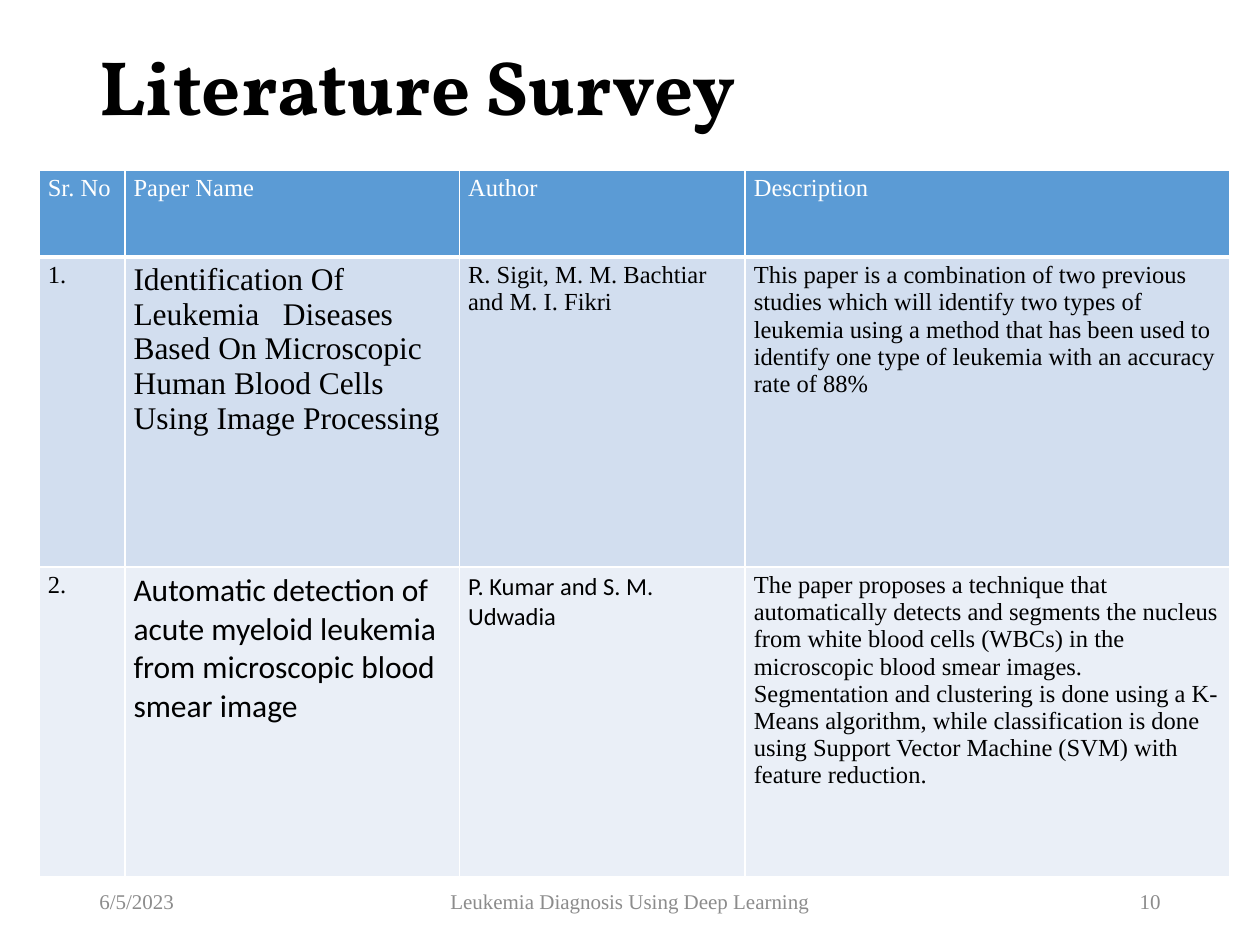
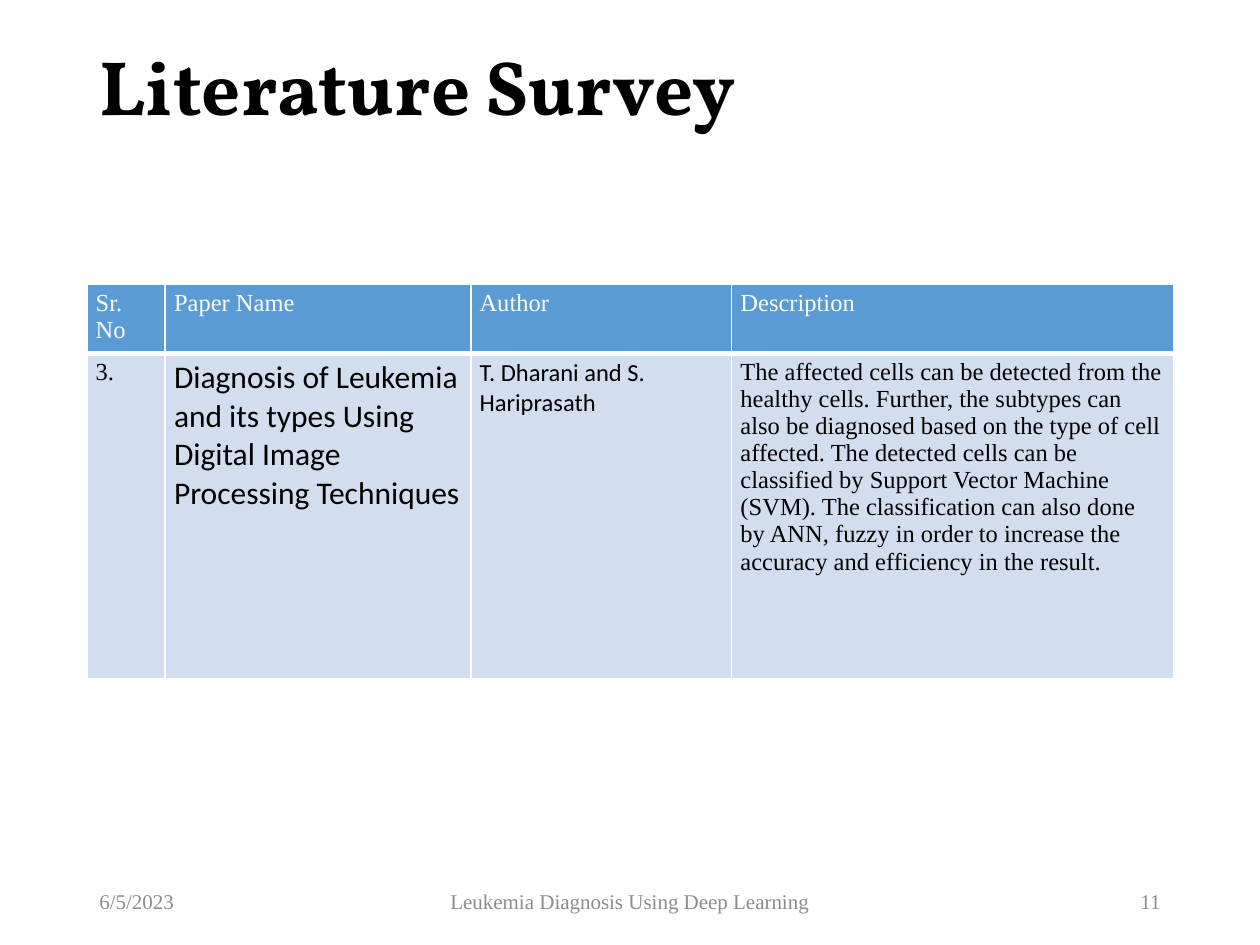
from lxml import etree
from pptx import Presentation
from pptx.dml.color import RGBColor
from pptx.enum.text import MSO_ANCHOR, PP_ALIGN
from pptx.oxml.ns import qn
from pptx.util import Emu, Inches, Pt

LEFT, CENTER, RIGHT = PP_ALIGN.LEFT, PP_ALIGN.CENTER, PP_ALIGN.RIGHT
MIDDLE = MSO_ANCHOR.MIDDLE
TITLE_ONLY = 5

COLORS = {
    "ink": "000000",
    "white": "FFFFFF",
    "header": "5B9BD5",
    "odd_row": "D2DEEF",
    "even_row": "EAEFF7",
    "footer": "8C8C8C",
}
SERIF, SANS, DISPLAY = "Times New Roman", "Calibri", "Vollkorn"

GRID_COLS, GRID_ROWS = 100, 75
MARGIN, CONTENT_W = 6.9, 86.2
FOOTER_TOP, FOOTER_H = 69.5, 4

HEADINGS = ["Sr. No", "Paper Name", "Author", "Description"]
COL_SHARES = [0.072, 0.281, 0.24, 0.407]
COL_SIZES = [14, 18, 14, 14]
SERIF_ROW = [SERIF] * 4
MIXED_ROW = [SERIF, SANS, SANS, SERIF]


def color(name):
    return RGBColor.from_string(COLORS[name])


def write(tf, text, size=14, font=SERIF, ink="ink", bold=False, align=LEFT, spacing=None):
    p = tf.paragraphs[0]
    p.alignment = align
    if spacing:
        p.line_spacing = spacing
    r = p.add_run()
    r.text = text
    r.font.size, r.font.name, r.font.bold = Pt(size), font, bold
    r.font.color.rgb = color(ink)


def add_borders(cell, bottom):
    """Draw white cell edges; bottom is the width of the lower edge in points."""
    tc_pr = cell._tc.get_or_add_tcPr()
    edges = {"lnL": 1, "lnR": 1, "lnT": 1, "lnB": bottom}
    for i, (edge, width) in enumerate(edges.items()):
        ln = etree.Element(qn(f"a:{edge}"), w=str(Pt(width)))
        fill = etree.SubElement(ln, qn("a:solidFill"))
        etree.SubElement(fill, qn("a:srgbClr"), val=COLORS["white"])
        tc_pr.insert(i, ln)


class Deck:
    """Holds the presentation, its grid and the current slide."""

    def __init__(self):
        self.prs = Presentation()
        self.prs.slide_width, self.prs.slide_height = Inches(10), Inches(7.5)
        self.s = None

    def x(self, cols):
        return Emu(round(self.prs.slide_width * cols / GRID_COLS))

    def y(self, rows):
        return Emu(round(self.prs.slide_height * rows / GRID_ROWS))

    def box(self, left, top, width, height):
        return self.x(left), self.y(top), self.x(width), self.y(height)

    def new_slide(self, number, title_top, title_h):
        self.s = self.prs.slides.add_slide(self.prs.slide_layouts[TITLE_ONLY])
        self.title("Literature Survey", title_top, title_h)
        self.footer("6/5/2023", MARGIN, 22.5, LEFT)
        self.footer("Leukemia Diagnosis Using Deep Learning", 33.1, 33.8, CENTER)
        self.footer(str(number), 70.6, 22.5, RIGHT)

    def title(self, text, top, height):
        sp = self.s.shapes.title
        sp.left, sp.top, sp.width, sp.height = self.box(MARGIN, top, CONTENT_W, height)
        sp.text_frame.vertical_anchor = MIDDLE
        write(sp.text_frame, text, size=44, font=DISPLAY, bold=True, spacing=0.9)

    def footer(self, text, left, width, align):
        sp = self.s.shapes.add_textbox(*self.box(left, FOOTER_TOP, width, FOOTER_H))
        tf = sp.text_frame
        tf.word_wrap = True
        tf.vertical_anchor = MIDDLE
        write(tf, text, size=12, ink="footer", align=align)

    def cell(self, cell, text, fill, bottom=1, **style):
        cell.margin_left = cell.margin_right = Inches(0.07)
        cell.margin_top = cell.margin_bottom = Inches(0.04)
        cell.fill.solid()
        cell.fill.fore_color.rgb = color(fill)
        add_borders(cell, bottom)
        write(cell.text_frame, text, **style)

    def paper_table(self, left, top, width, header_h, row_h, papers):
        """papers is a list of (fonts, texts), one pair for each body row."""
        height = header_h + row_h * len(papers)
        frame = self.s.shapes.add_table(
            len(papers) + 1, len(HEADINGS), *self.box(left, top, width, height))
        table = frame.table
        for col, share in zip(table.columns, COL_SHARES):
            col.width = self.x(width * share)
        for i, row in enumerate(table.rows):
            row.height = self.y(row_h if i else header_h)
        for j, text in enumerate(HEADINGS):
            self.cell(table.cell(0, j), text, "header", bottom=3, ink="white")
        for i, (fonts, texts) in enumerate(papers, 1):
            fill = "odd_row" if i % 2 else "even_row"
            for j, (text, font, size) in enumerate(zip(texts, fonts, COL_SIZES)):
                self.cell(table.cell(i, j), text, fill, font=font, size=size)


def main():
    deck = Deck()

    deck.new_slide(10, title_top=0.8, title_h=12.7)
    deck.paper_table(3.1, 13.5, 94.5, 6.9, 24.6, [
        (SERIF_ROW, [
            "1.",
            "Identification Of Leukemia   Diseases Based On Microscopic Human "
            "Blood Cells Using Image Processing",
            "R. Sigit, M. M. Bachtiar and M. I. Fikri",
            "This paper is a combination of two previous studies which will identify "
            "two types of leukemia using a method that has been used to identify one "
            "type of leukemia with an accuracy rate of 88%",
        ]),
        (MIXED_ROW, [
            "2.",
            "Automatic detection of acute myeloid leukemia from microscopic blood "
            "smear image",
            "P. Kumar and S. M. Udwadia",
            "The paper proposes a technique that automatically detects and segments "
            "the nucleus from white blood cells (WBCs) in the microscopic blood smear "
            "images. Segmentation and clustering is done using a K-Means algorithm, "
            "while classification is done using Support Vector Machine (SVM) with "
            "feature reduction.",
        ]),
    ])

    deck.new_slide(11, title_top=1.5, title_h=11.4)
    deck.paper_table(MARGIN, 22.6, 86.3, 4.1, 25.8, [
        (MIXED_ROW, [
            "3.",
            "Diagnosis of Leukemia and its types Using Digital Image Processing "
            "Techniques",
            "T. Dharani and S. Hariprasath",
            "The affected cells can be detected from the healthy cells. Further, the "
            "subtypes can also be diagnosed based on the type of cell affected. The "
            "detected cells can be classified by Support Vector Machine (SVM). The "
            "classification can also done by ANN, fuzzy in order to increase the "
            "accuracy and efficiency in the result.",
        ]),
    ])

    deck.prs.save("out.pptx")


if __name__ == "__main__":
    main()
